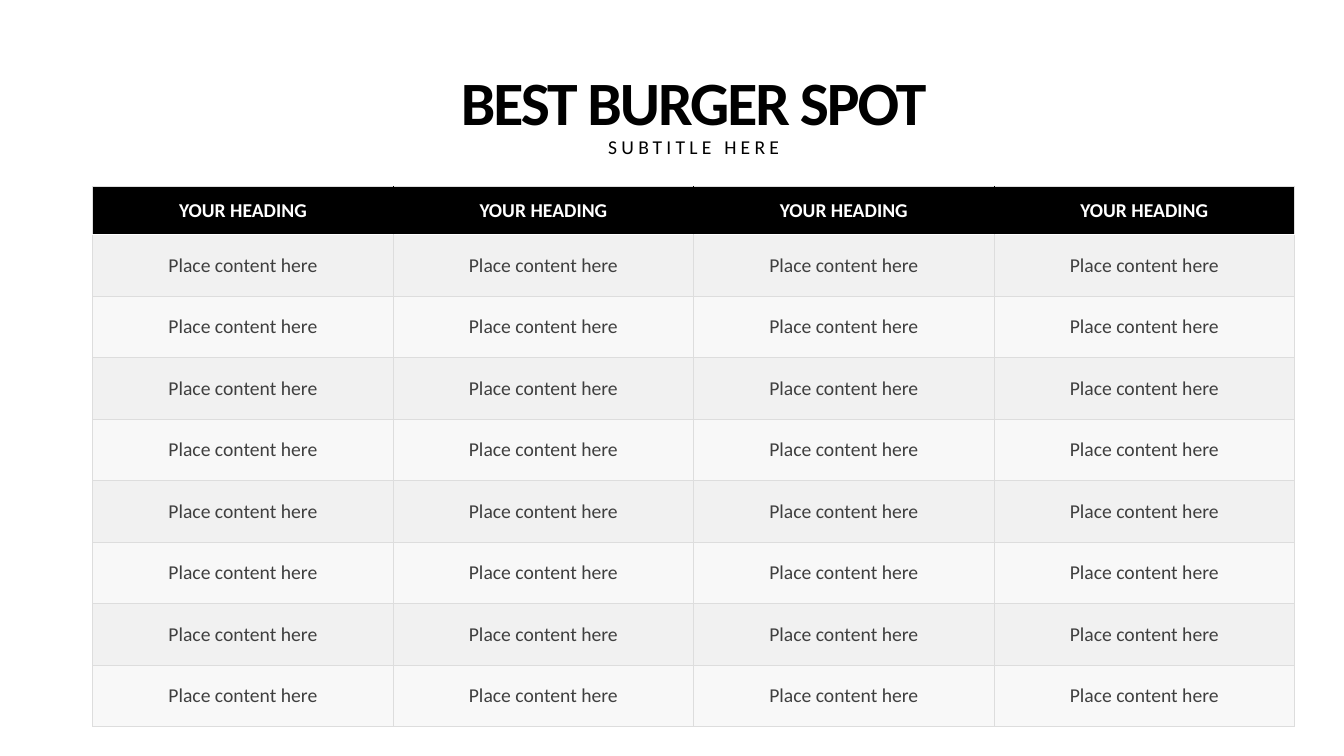
from dataclasses import dataclass

from pptx import Presentation
from pptx.dml.color import RGBColor
from pptx.enum.text import MSO_ANCHOR, PP_ALIGN
from pptx.oxml import parse_xml
from pptx.oxml.ns import nsdecls, qn
from pptx.util import Inches, Pt

CENTER = PP_ALIGN.CENTER
MIDDLE, BOTTOM = MSO_ANCHOR.MIDDLE, MSO_ANCHOR.BOTTOM

COLORS = {"black": "000000", "white": "FFFFFF", "text": "3F3F3F", "grey": "DDDDDD"}
FONT = "Calibri"

# Grid in inches
LEFT, WIDTH = 0.92, 11.92
TABLE_TOP, HEADER_HEIGHT, ROW_HEIGHT = 1.85, 0.48, 0.61
COLUMNS, BODY_ROWS = 4, 8


@dataclass(frozen=True)
class Line:
    color: str
    points: float


@dataclass(frozen=True)
class RowStyle:
    text: str
    color: str
    fill: str
    opacity: int
    bold: bool
    side_inset: float
    top: Line
    bottom: Line
    inner: Line


@dataclass(frozen=True)
class Heading:
    text: str
    top: float
    height: float
    size: int
    spacing: float
    bold: bool
    anchor: MSO_ANCHOR


THIN = Line("grey", 0.5)
DIVIDER = Line("white", 1)
HEADER = RowStyle("YOUR HEADING", "white", "black", 100, True, 0.08,
                  THIN, DIVIDER, Line("black", 0.5))

HEADINGS = [
    Heading("BEST BURGER SPOT", -0.06, 1.49, 44, -1.5, True, BOTTOM),
    Heading("SUBTITLE HERE", 1.29, 0.35, 14, 3, False, MIDDLE),
]


def body_style(index: int) -> RowStyle:
    return RowStyle("Place content here", "text", "grey", 20 if index % 2 else 40,
                    False, 0.07, THIN if index else DIVIDER, THIN, THIN)


def write_text(frame, text: str, *, size: float, color: str, bold: bool,
               spacing: float = 0, line_spacing: float = 1) -> None:
    para = frame.paragraphs[0]
    para.alignment = CENTER
    para.line_spacing = line_spacing
    span = para.add_run()
    span.text = text
    span.font.name = FONT
    span.font.size = Pt(size)
    span.font.bold = bold
    span.font.color.rgb = RGBColor.from_string(COLORS[color])
    if spacing:
        span.font._element.set("spc", str(int(spacing * 100)))


def add_heading(page, heading: Heading) -> None:
    box = page.shapes.add_textbox(Inches(LEFT), Inches(heading.top),
                                  Inches(WIDTH), Inches(heading.height))
    frame = box.text_frame
    frame.word_wrap = True
    frame.vertical_anchor = heading.anchor
    write_text(frame, heading.text, size=heading.size, color="black",
               bold=heading.bold, spacing=heading.spacing, line_spacing=0.9)


def set_borders(cell, borders: dict[str, Line]) -> None:
    """Borders come before the fill, in the order left, right, top, bottom."""
    properties = cell._tc.get_or_add_tcPr()
    for position, (side, line) in enumerate(borders.items()):
        properties.insert(position, parse_xml(
            f'<a:ln{side} {nsdecls("a")} w="{Pt(line.points)}"><a:solidFill>'
            f'<a:srgbClr val="{COLORS[line.color]}"/></a:solidFill></a:ln{side}>'))


def style_cell(cell, style: RowStyle, column: int) -> None:
    cell.vertical_anchor = MIDDLE
    cell.margin_left = cell.margin_right = Inches(style.side_inset)
    cell.margin_top = cell.margin_bottom = Inches(0.04)
    cell.fill.solid()
    cell.fill.fore_color.rgb = RGBColor.from_string(COLORS[style.fill])
    if style.opacity < 100:
        color = cell._tc.tcPr.find(qn("a:solidFill")).find(qn("a:srgbClr"))
        color.append(parse_xml(f'<a:alpha {nsdecls("a")} val="{style.opacity * 1000}"/>'))
    set_borders(cell, {
        "L": style.inner if column else THIN,
        "R": style.inner if column < COLUMNS - 1 else THIN,
        "T": style.top,
        "B": style.bottom,
    })
    write_text(cell.text_frame, style.text, size=14, color=style.color, bold=style.bold)


def add_content_table(page) -> None:
    styles = [HEADER] + [body_style(index) for index in range(BODY_ROWS)]
    height = HEADER_HEIGHT + BODY_ROWS * ROW_HEIGHT
    table = page.shapes.add_table(len(styles), COLUMNS, Inches(LEFT), Inches(TABLE_TOP),
                                  Inches(WIDTH), Inches(height)).table
    table.horz_banding = False
    for column in table.columns:
        column.width = Inches(WIDTH / COLUMNS)
    for row, style in zip(table.rows, styles):
        row.height = Inches(HEADER_HEIGHT if style is HEADER else ROW_HEIGHT)
        for column, cell in enumerate(row.cells):
            style_cell(cell, style, column)


def main() -> None:
    deck = Presentation()
    deck.slide_width, deck.slide_height = Inches(13.33), Inches(7.5)
    page = deck.slides.add_slide(deck.slide_layouts[6])

    # Title and subtitle
    for heading in HEADINGS:
        add_heading(page, heading)

    # Table
    add_content_table(page)

    deck.save("out.pptx")


if __name__ == "__main__":
    main()
